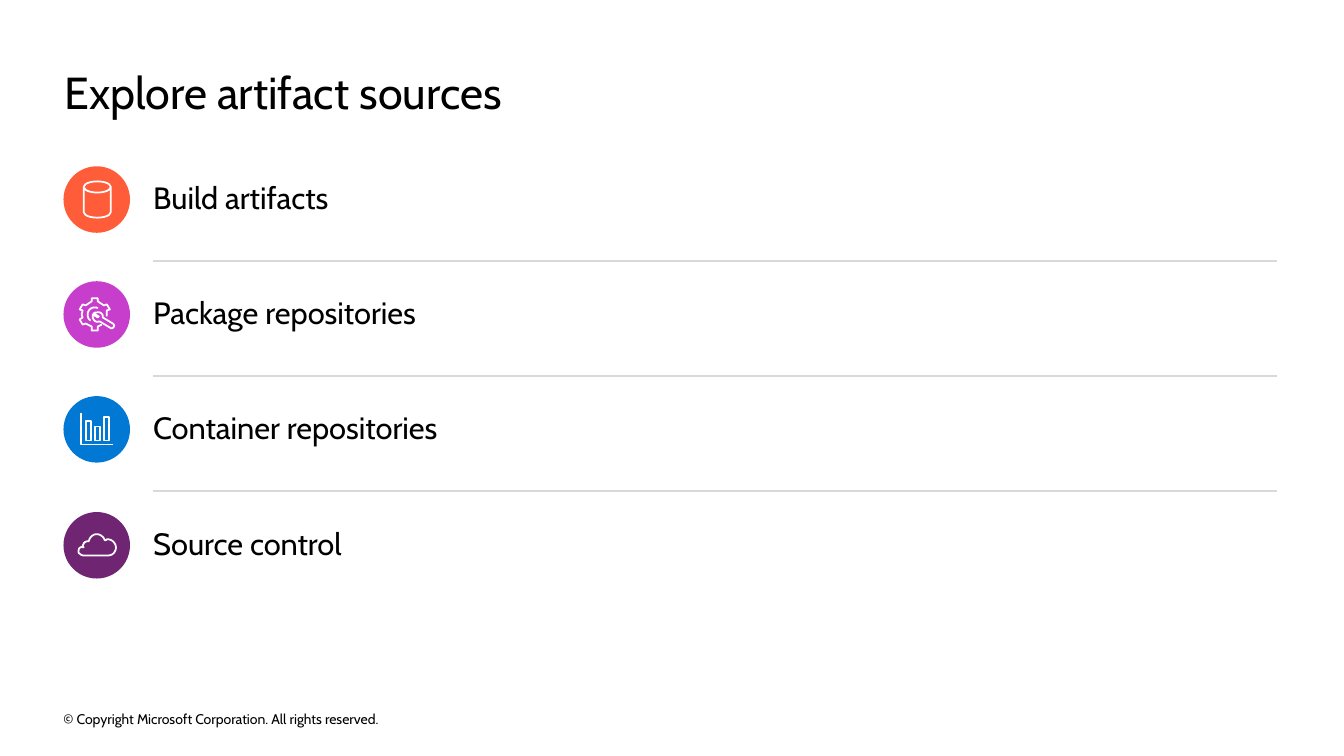
import pptx
import pptx.util
import pptx.dml.color
import pptx.enum.shapes
import pptx.enum.text
import pptx.oxml

PX = 9144
FONT = "Cabin"
COLORS = {
    "ink": "000000",
    "rule": "D9D9D9",
    "white": "FFFFFF",
    "orange": "FF5C39",
    "pink": "C73ECC",
    "blue": "0078D4",
    "plum": "702573",
}
SHAPE = pptx.enum.shapes.MSO_SHAPE
ANCHOR = pptx.enum.text.MSO_ANCHOR

GEAR = [
    [(38, 43), (34, 45), (34, 49), (28, 49), (28, 45), (22, 42), (19, 43),
     (16, 38), (19, 36), (18, 33), (19, 29), (16, 28), (19, 23), (22, 24),
     (28, 20), (28, 17), (34, 17), (34, 20), (40, 24), (43, 23), (46, 28),
     (43, 29), (43, 33), (43, 35)],
    [(34, 27), (33, 26, 32, 26, 31, 26), (27, 26, 24, 29, 24, 33),
     (24, 36, 25, 38, 27, 39)],
    [(36, 40), (46, 46), (47, 47, 49, 47, 50, 45), (51, 44, 50, 43, 49, 42),
     (39, 36), (39, 34), (38, 32, 36, 30, 33, 31), (32, 31, 31, 31, 30, 32),
     (35, 35), (34, 36), (29, 33), (29, 34, 29, 35, 29, 36),
     (30, 39, 32, 41, 35, 40), (36, 40)],
]
BARS = [
    [(x, 44), (x, top), (x + 5, top), (x + 5, 44), (x, 44)]
    for x, top in ((22, 25), (31, 30), (40, 21))
] + [[(17, 17), (17, 48), (49, 48)]]
CLOUD = [
    [(33, 22), (37, 22, 40, 25, 41, 28), (42, 28), (43, 27, 43, 27, 44, 27),
     (48, 27, 52, 31, 52, 35), (52, 39, 49, 43, 45, 43), (19, 43),
     (16, 42, 14, 40, 15, 38), (15, 36, 17, 34, 19, 35), (20, 35), (19, 34),
     (19, 33, 20, 32, 20, 31), (21, 30, 22, 29, 24, 29), (25, 29),
     (26, 25, 29, 22, 33, 22)],
]
ROWS = [
    ("Build artifacts", "orange", None),
    ("Package repositories", "pink", GEAR),
    ("Container repositories", "blue", BARS),
    ("Source control", "plum", CLOUD),
]


def tint(name):
    return pptx.dml.color.RGBColor.from_string(COLORS[name])


def emu(*sizes):
    return [size * PX for size in sizes]


def write(slide, box, text, size, anchor=ANCHOR.MIDDLE, lead=None):
    frame = slide.shapes.add_textbox(*emu(*box)).text_frame
    frame.word_wrap = True
    frame.vertical_anchor = anchor
    frame.margin_left = frame.margin_right = 0
    frame.margin_top = frame.margin_bottom = 0
    para = frame.paragraphs[0]
    if lead:
        para.line_spacing = pptx.util.Pt(lead)
    run = para.add_run()
    run.text = text
    run.font.name = FONT
    run.font.size = pptx.util.Pt(size)
    run.font.color.rgb = tint("ink")


def trace(path):
    spots = [path[0]]
    for part in path[1:]:
        if len(part) == 2:
            spots.append(part)
            continue
        x, y = spots[-1]
        a, b, c, d, e, f = part
        for step in range(1, 9):
            t = step / 8
            u = 1 - t
            k = (u**3, 3 * u * u * t, 3 * u * t * t, t**3)
            spots.append((
                k[0] * x + k[1] * a + k[2] * c + k[3] * e,
                k[0] * y + k[1] * b + k[2] * d + k[3] * f,
            ))
    return [(10 * x, 10 * y) for x, y in spots]


def draw_glyph(slide, left, top, paths):
    if paths is None:
        glyph = slide.shapes.add_shape(
            SHAPE.CAN, *emu(left + 20, top + 15, 27, 36))
        glyph.adjustments[0] = 0.41
    else:
        first, *rest = [trace(path) for path in paths]
        pen = slide.shapes.build_freeform(*first[0], scale=PX / 10)
        pen.add_line_segments(first[1:], close=False)
        for spots in rest:
            pen.move_to(*spots[0])
            pen.add_line_segments(spots[1:], close=False)
        glyph = pen.convert_to_shape(*emu(left, top))
    glyph.shadow.inherit = False
    glyph.fill.background()
    glyph.line.color.rgb = tint("white")
    glyph.line.width = pptx.util.Pt(1.25)


def draw_rule(slide, left, top, width):
    rule = slide.shapes.add_connector(
        pptx.enum.shapes.MSO_CONNECTOR.STRAIGHT,
        *emu(left, top, left + width, top))
    rule.line.color.rgb = tint("rule")
    rule.line.width = pptx.util.Pt(1)
    props = rule.element.spPr
    props.append(pptx.oxml.parse_xml(
        '<a:effectLst xmlns:a='
        '"http://schemas.openxmlformats.org/drawingml/2006/main"/>'))


def draw_row(slide, box, label, color, paths, ruled):
    left, top, width, height = box
    disc = slide.shapes.add_shape(SHAPE.OVAL, *emu(left, top + 6, 66, 66))
    disc.shadow.inherit = False
    disc.fill.solid()
    disc.fill.fore_color.rgb = tint(color)
    disc.line.fill.background()
    draw_glyph(slide, left, top + 6, paths)
    write(slide, (left + 89, top, width - 89, height), label, 22, lead=17.6)
    if ruled:
        draw_rule(slide, left + 89, top + 100, width - 91)


def draw_list(slide, box):
    left, top, width, height = box
    last = len(ROWS) - 1
    for i, (label, color, paths) in enumerate(ROWS):
        row = (left, top + (height - 85) * i // last, width, 85)
        draw_row(slide, row, label, color, paths, i < last)


def main():
    deck = pptx.Presentation()
    deck.slide_width, deck.slide_height = emu(1333, 750)
    slide = deck.slides.add_slide(deck.slide_layouts[6])
    write(slide, (64, 64, 896, 54), "Explore artifact sources", 32,
          anchor=ANCHOR.TOP)
    draw_list(slide, (63, 159, 1206, 428))
    write(slide, (63, 702, 454, 22),
          "© Copyright Microsoft Corporation. All rights reserved.", 10)
    deck.save("out.pptx")


if __name__ == "__main__":
    main()
